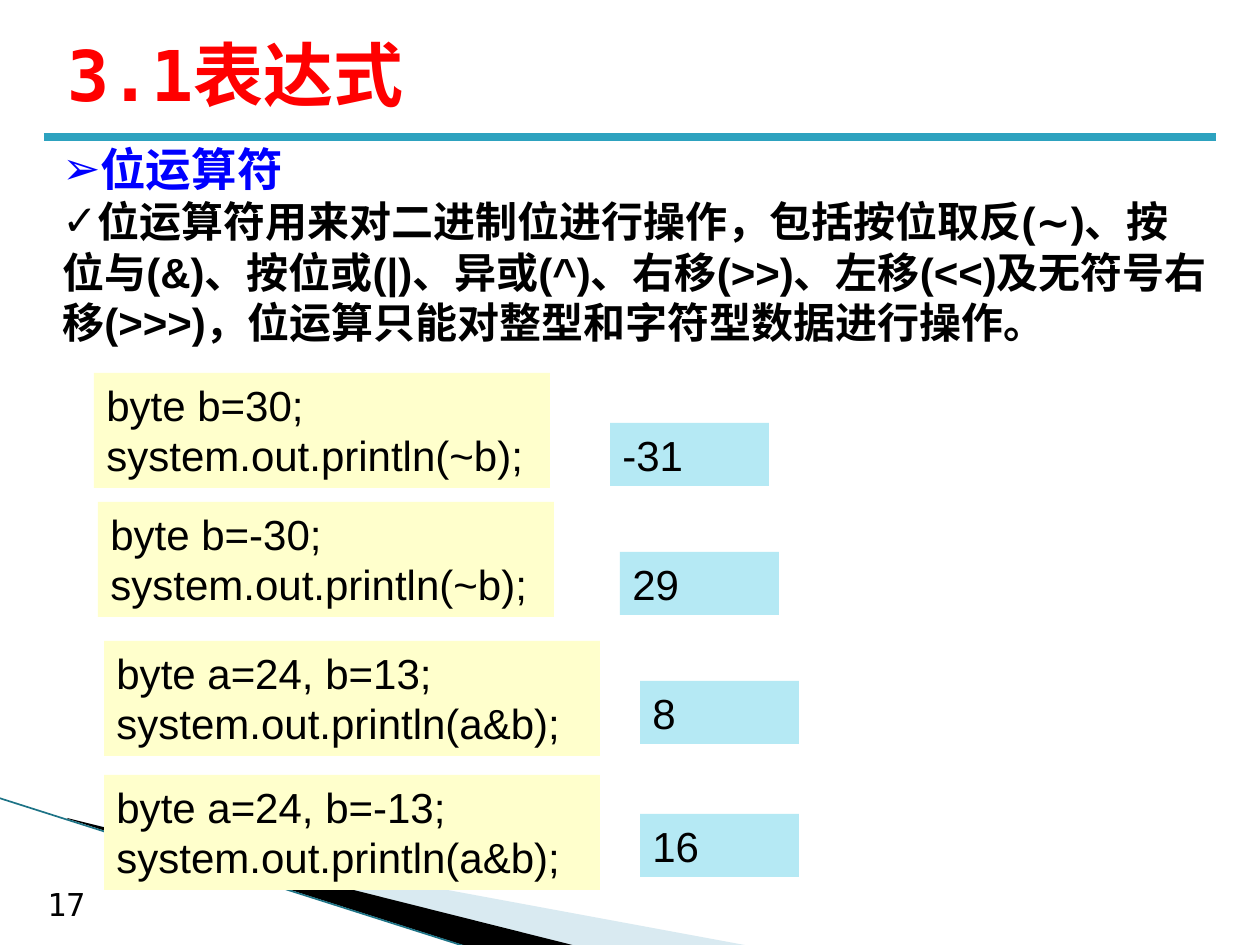
from lxml import etree
from pptx import Presentation
from pptx.dml.color import RGBColor
from pptx.enum.lang import MSO_LANGUAGE_ID
from pptx.enum.shapes import MSO_CONNECTOR, MSO_SHAPE
from pptx.enum.text import MSO_ANCHOR, PP_ALIGN
from pptx.oxml.ns import qn
from pptx.util import Emu, Pt

PX = 914400 / 126
LINE = MSO_CONNECTOR.STRAIGHT
RECT = MSO_SHAPE.RECTANGLE
LEFT = PP_ALIGN.LEFT
TOP, MIDDLE = MSO_ANCHOR.TOP, MSO_ANCHOR.MIDDLE
CHINESE = MSO_LANGUAGE_ID.SIMPLIFIED_CHINESE
SANS, MONO = "Arial", "DejaVu Sans Mono"
CODE_FILL, RESULT_FILL = "FFFFCC", "B5E9F4"

# Code box (x, y, width), lines of code, result box (x, y), result
EXAMPLES = [
    ((94, 373, 456), "byte b=30;\nsystem.out.println(~b);", (610, 423), "-31"),
    ((98, 502, 456), "byte b=-30;\nsystem.out.println(~b);", (620, 552), "29"),
    ((104, 641, 496), "byte a=24, b=13;\nsystem.out.println(a&b);", (640, 681), "8"),
    ((104, 775, 496), "byte a=24, b=-13;\nsystem.out.println(a&b);", (640, 814), "16"),
]


def px(*values):
    return [Emu(round(v * PX)) for v in values]


def rgb(color):
    return RGBColor.from_string(color)


def format_paragraph(p, size, color, font=SANS, bold=False):
    p.alignment = LEFT
    for r in p.runs:
        r.font.name = font
        r.font.size = Pt(size)
        r.font.bold = bold
        r.font.color.rgb = rgb(color)
        r.font.language_id = CHINESE


def add_bullet(p, char):
    pPr = p._p.get_or_add_pPr()
    pPr.set("marL", "0")
    pPr.set("indent", "0")
    etree.SubElement(pPr, qn("a:buFont")).set("typeface", SANS)
    etree.SubElement(pPr, qn("a:buChar")).set("char", char)


def add_text(s, box, text, size, color, font=SANS, bold=False, anchor=TOP):
    tf = s.shapes.add_textbox(*px(*box)).text_frame
    tf.word_wrap = True
    tf.vertical_anchor = anchor
    tf.text = text
    for p in tf.paragraphs:
        format_paragraph(p, size, color, font, bold)
    return tf


def add_panel(s, box, text, fill):
    sp = s.shapes.add_shape(RECT, *px(*box))
    sp.shadow.inherit = False
    sp.fill.solid()
    sp.fill.fore_color.rgb = rgb(fill)
    sp.line.fill.background()
    tf = sp.text_frame
    tf.word_wrap = True
    tf.vertical_anchor = TOP
    tf.text = text
    for p in tf.paragraphs:
        format_paragraph(p, 24, "000000")


def add_line(s, ends, color, width):
    cn = s.shapes.add_connector(LINE, *px(*ends))
    cn.line.color.rgb = rgb(color)
    cn.line.width = Pt(width)
    etree.SubElement(cn._element.spPr, qn("a:effectLst"))


def add_wedge(s, points, color, opacity=100):
    builder = s.shapes.build_freeform(*points[0], scale=PX)
    builder.add_line_segments(points[1:], close=True)
    sp = builder.convert_to_shape()
    sp.shadow.inherit = False
    sp.fill.solid()
    sp.fill.fore_color.rgb = rgb(color)
    sp.line.fill.background()
    if opacity < 100:
        clr = sp._element.spPr.find(".//" + qn("a:srgbClr"))
        etree.SubElement(clr, qn("a:alpha")).set("val", str(opacity * 1000))


def add_backdrop(s):
    add_wedge(s, [(69, 820), (750, 946), (575, 946), (69, 819)], "A0CBDC", 40)
    add_wedge(s, [(67, 818), (576, 946), (469, 947), (68, 819)], "000000")
    add_line(s, (-1, 798, 467, 947), "1D7386", 0.95)
    add_line(s, (44, 137, 1216, 137), "2DA2BF", 4.5)
    add_text(s, (35, 879, 69, 50), "17", 18, "000000", MONO)


def add_body(s):
    tf = add_text(
        s, (50, 135, 1171, 221),
        "位运算符\n位运算符用来对二进制位进行操作，包括按位取反(∼)、按位与(&)、"
        "按位或(|)、异或(^)、右移(>>)、左移(<<)及无符号右移(>>>)，"
        "位运算只能对整型和字符型数据进行操作。",
        24, "000000", bold=True)
    heading, detail = tf.paragraphs
    format_paragraph(heading, 26, "0000FF", bold=True)
    add_bullet(heading, "➢")
    add_bullet(detail, "✓")


def main():
    prs = Presentation()
    prs.slide_width, prs.slide_height = px(1260, 945)
    s = prs.slides.add_slide(prs.slide_layouts[6])

    # Corner decoration, title rule and page number
    add_backdrop(s)

    # Title and explanation
    add_text(s, (55, 20, 1134, 107), "3.1表达式", 40, "FF0000", MONO, True, MIDDLE)
    add_body(s)

    # Code samples with their results
    for (x, y, width), code, corner, result in EXAMPLES:
        add_panel(s, (x, y, width, 115), code, CODE_FILL)
        add_panel(s, (*corner, 159, 63), result, RESULT_FILL)

    prs.save("out.pptx")


if __name__ == "__main__":
    main()
